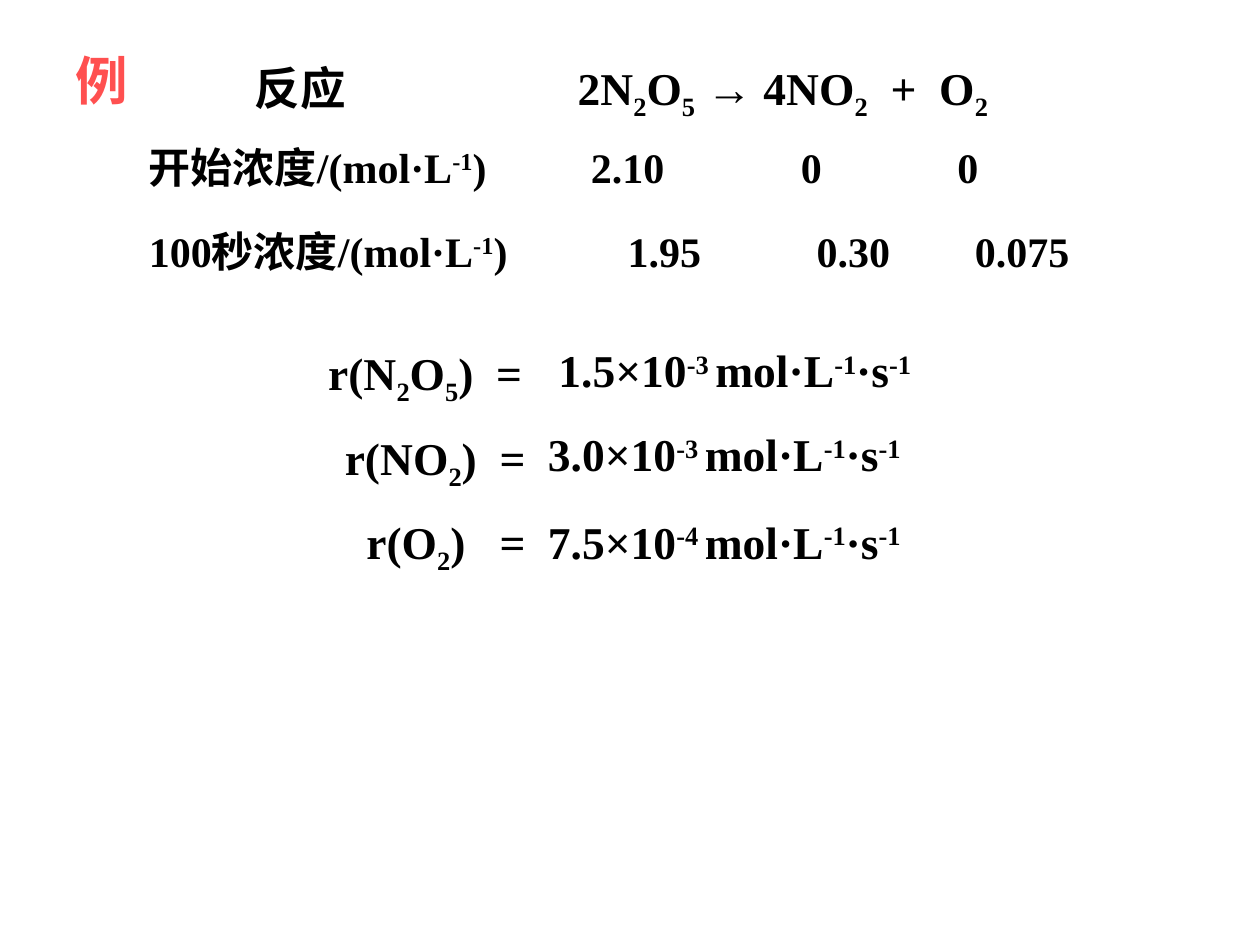
from lxml import etree
from pptx import Presentation
from pptx.dml.color import RGBColor
from pptx.enum.shapes import MSO_SHAPE
from pptx.enum.text import MSO_ANCHOR, MSO_AUTO_SIZE, PP_ALIGN
from pptx.oxml.ns import qn
from pptx.util import Pt

RECT = MSO_SHAPE.RECTANGLE
TOP = MSO_ANCHOR.TOP
FIXED = MSO_AUTO_SIZE.NONE
LEFT, RIGHT = PP_ALIGN.LEFT, PP_ALIGN.RIGHT
LATIN, HAN = "Times New Roman", "Noto Sans CJK SC"
SHIFT = {"^": "30000", "_": "-25000"}


def color(code):
    return RGBColor.from_string(code)


def write(text, shape=None, box=None, size=26, font=LATIN, ink="000000",
          align=LEFT, line=None, gap=0, stops=(), wrap=True):
    """Fill a box; each line has its tab stops, and | parts runs, ^ raised, _ lowered."""
    if shape is None:
        shape = slide.shapes.add_shape(RECT, *map(Pt, box))
        shape.shadow.inherit = False
        shape.fill.solid()
        shape.fill.fore_color.rgb = color("FFFFFF")
        shape.line.fill.background()
    else:
        shape.left, shape.top, shape.width, shape.height = map(Pt, box)
    frame = shape.text_frame
    frame.word_wrap = wrap
    frame.auto_size = FIXED
    frame.vertical_anchor = TOP
    for i, row in enumerate(text.split("\n")):
        para = frame.add_paragraph() if i else frame.paragraphs[0]
        if stops:
            tabs = etree.SubElement(para._p.get_or_add_pPr(), qn("a:tabLst"))
            for pos in stops[i]:
                etree.SubElement(tabs, qn("a:tab"), pos=str(Pt(pos)), algn="l")
        para.alignment = align
        para.space_before = Pt(gap if i else 0)
        if line:
            para.line_spacing = Pt(line)
        for part in row.split("|"):
            run = para.add_run()
            run.text = part.lstrip("^_")
            run.font.size = Pt(size)
            run.font.bold = True
            run.font.name = font
            run.font.color.rgb = color(ink)
            props = run.font._element
            etree.SubElement(props, qn("a:ea"), typeface=HAN)
            if part[0] in SHIFT:
                props.set("baseline", SHIFT[part[0]])


deck = Presentation()
deck.slide_width, deck.slide_height = Pt(720), Pt(540)
slide = deck.slides.add_slide(deck.slide_layouts[5])

# Title
write("例", shape=slide.shapes.title, box=(36, 24, 44.5, 44), size=30,
      font=HAN, ink="FF5050", line=36, wrap=False)

# Rates: formula on the left, value on the right
rates = [
    ("r(N|_2|O|_5|)  =", (78, 193.5, 227.5), "1.5", "-3", (312, 192)),
    ("r(NO|_2|)  =", (72, 242, 235.5), "3.0", "-3", (306, 240)),
    ("r(O|_2|)   =", (72, 290, 235.5), "7.5", "-4", (306, 290)),
]
for name, spot, value, power, start in rates:
    write(name, box=(*spot, 38), align=RIGHT)
    write(f"{value}×10|^{power} |mol·L|^-1|·s|^-1", box=(*start, 325, 38))

# Reaction
write("\t反应\t2N|_2|O|_5| → 4NO|_2|  +  O|_2", box=(108.5, 30, 572.5, 40.5),
      line=36, stops=[(30, 214.5)])

# Concentrations
write("\t开始浓度/(mol·L|^-1|)\t2.10\t0\t0\n"
      "\t100秒浓度/(mol·L|^-1|)\t1.95\t0.30\t0.075",
      box=(18, 70, 680.5, 91), size=24, line=36, gap=12,
      stops=[(60, 312.5, 432.5, 522), (60, 333.5, 441.5, 532)])

deck.save("out.pptx")
